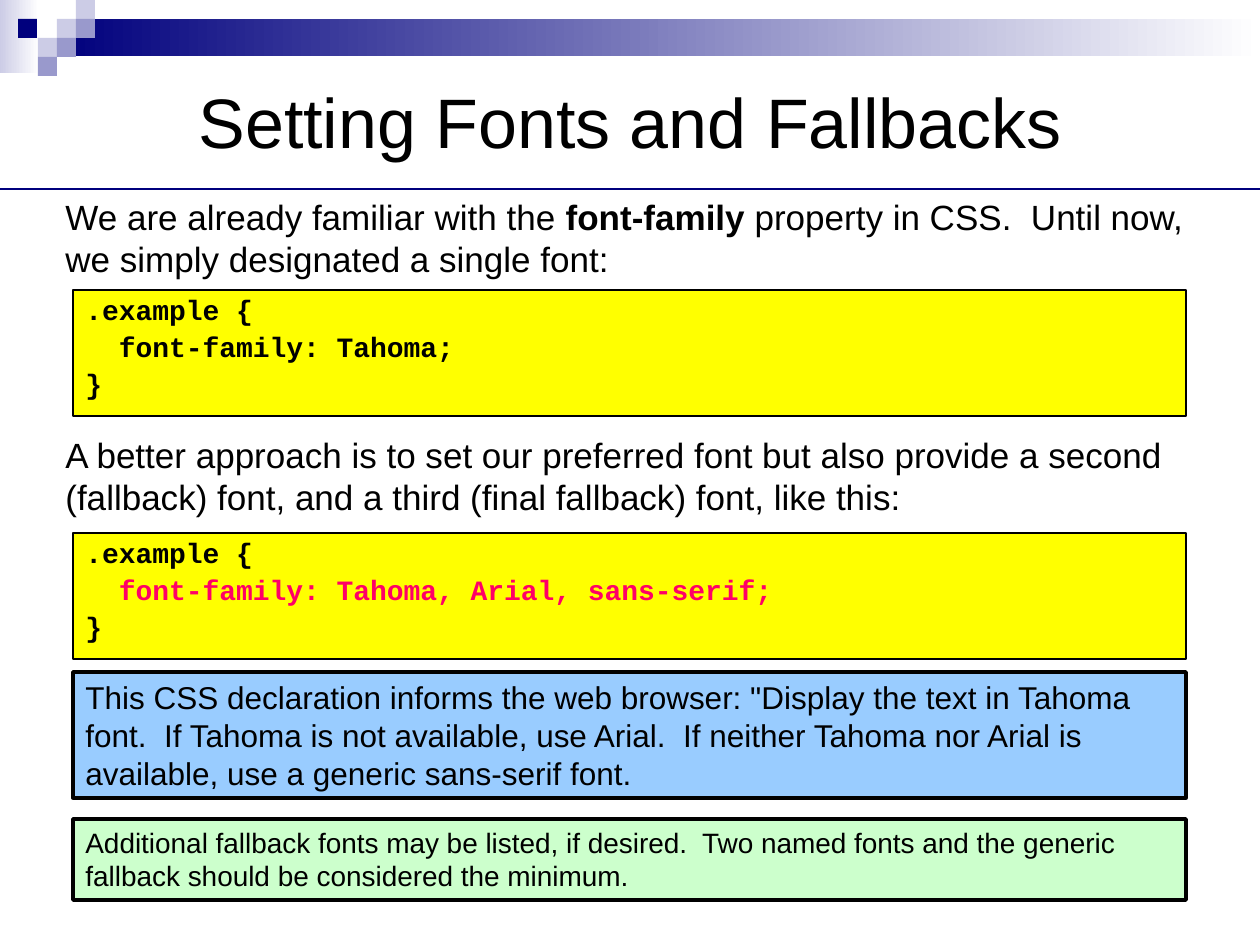
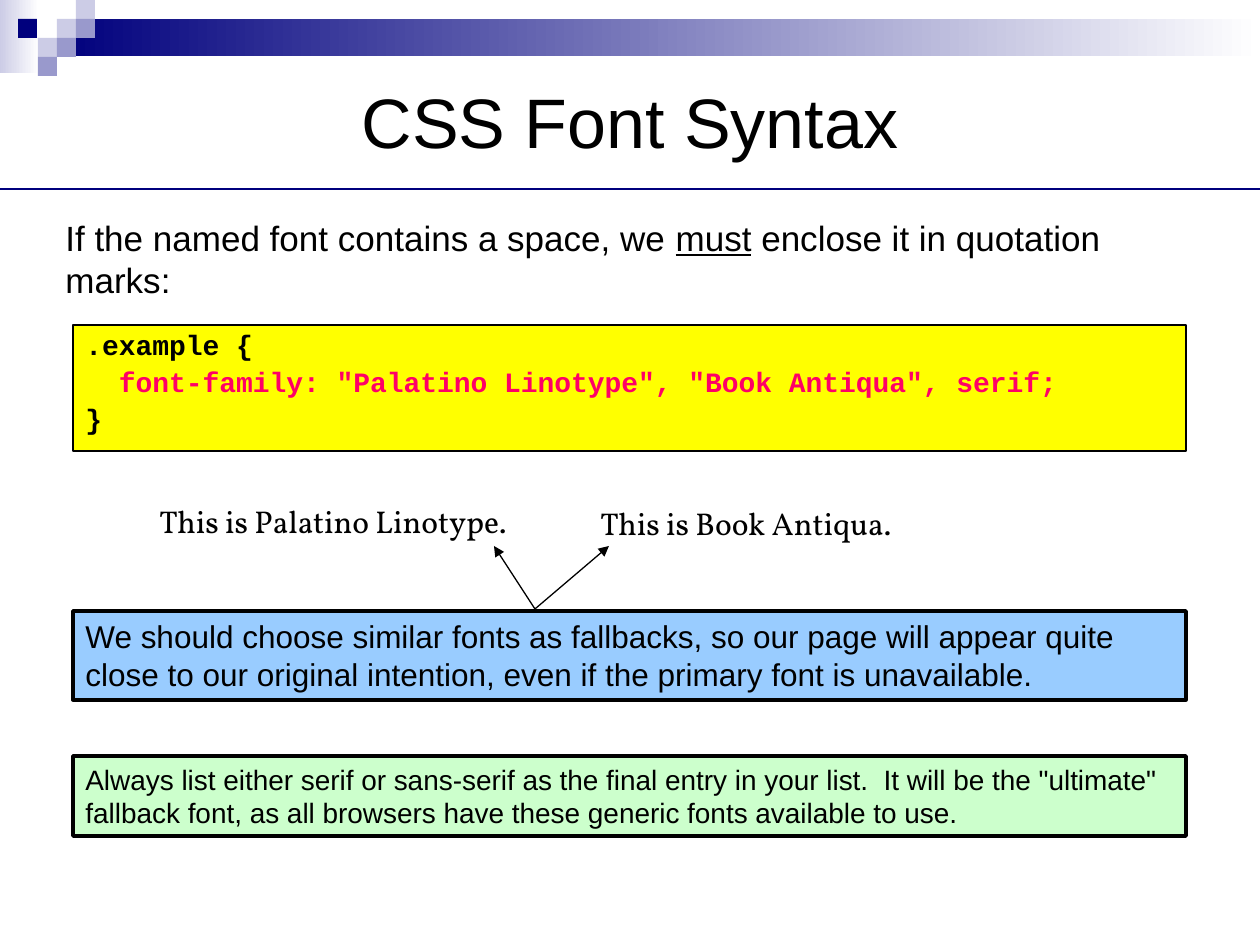
from pptx import Presentation
from pptx.dml.color import RGBColor
from pptx.enum.shapes import MSO_CONNECTOR, MSO_SHAPE
from pptx.enum.text import MSO_ANCHOR, PP_ALIGN
from pptx.oxml.ns import qn
from pptx.util import Pt
from lxml import etree

PX = 914400 / 126
NAVY, LILAC, MIST = "00007D", "9999CC", "CCCCE6"
BLACK, WHITE, PINK = "000000", "FFFFFF", "FF0066"
YELLOW, BLUE, GREEN = "FFFF00", "99CCFF", "CCFFCC"
BOX_LEFT, BOX_WIDTH = 73, 1113
SQUARES = [(57, 19, MIST), (76, 0, MIST), (76, 19, LILAC), (38, 38, MIST),
           (18, 19, NAVY), (57, 38, LILAC), (38, 57, LILAC)]


def px(*lengths):
    return [round(n * PX) for n in lengths]


def rgb(color):
    return RGBColor.from_string(color)


def add_rect(slide, box, fill, fade_to=None, line=None):
    sp = slide.shapes.add_shape(MSO_SHAPE.RECTANGLE, *px(*box))
    sp.shadow.inherit = False
    if fade_to:
        sp.fill.gradient()
        sp.fill.gradient_angle = 0
        for stop, color in zip(sp.fill.gradient_stops, (fill, fade_to)):
            stop.color.rgb = rgb(color)
    else:
        sp.fill.solid()
        sp.fill.fore_color.rgb = rgb(fill)
    if line:
        sp.line.color.rgb = rgb(BLACK)
        sp.line.width = Pt(line)
    else:
        sp.line.fill.background()
    return sp


def add_line(slide, start, end, color, width, arrow=False):
    cxn = slide.shapes.add_connector(MSO_CONNECTOR.STRAIGHT, *px(*start, *end))
    cxn.line.color.rgb = rgb(color)
    cxn.line.width = Pt(width)
    if arrow:
        ln = cxn.line._get_or_add_ln()
        etree.SubElement(ln, qn("a:tailEnd"), type="triangle")
    etree.SubElement(cxn._element.spPr, qn("a:effectLst"))


def add_run(p, text, size, font="Arial", color=BLACK, bold=False, underline=False):
    r = p.add_run()
    r.text = text
    r.font.size = Pt(size)
    r.font.name = font
    r.font.color.rgb = rgb(color)
    r.font.bold = bold
    r.font.underline = underline


def top_left(sp):
    tf = sp.text_frame
    tf.word_wrap = True
    tf.vertical_anchor = MSO_ANCHOR.TOP
    tf.paragraphs[0].alignment = PP_ALIGN.LEFT
    return tf


def add_text(slide, box, *runs):
    tf = top_left(slide.shapes.add_textbox(*px(*box)))
    for text, style in runs:
        add_run(tf.paragraphs[0], text, **{"size": 20, **style})
    return tf.paragraphs[0]


def add_intro(slide, top, *runs):
    add_text(slide, (53, top, 1155, 105), *runs)


def add_sample(slide, left, top, width, text):
    p = add_text(slide, (left, top, width, 47),
                 (text, {"size": 18, "font": "Vollkorn"}))
    p.line_spacing = 0.9


def add_code(slide, top, declaration, color=BLACK):
    sp = add_rect(slide, (BOX_LEFT, top, BOX_WIDTH, 126), YELLOW, line=0.75)
    tf = top_left(sp)
    lines = [(".example {", BLACK), ("  " + declaration, color), ("}", BLACK)]
    for i, (text, line_color) in enumerate(lines):
        p = tf.add_paragraph() if i else tf.paragraphs[0]
        p.alignment = PP_ALIGN.LEFT
        p.line_spacing = 0.9
        if i:
            p.space_before = Pt(4)
        add_run(p, text, 16, "Courier New", line_color, bold=True)


def add_note(slide, top, height, fill, size, text):
    sp = add_rect(slide, (BOX_LEFT, top, BOX_WIDTH, height), fill, line=2)
    add_run(top_left(sp).paragraphs[0], text, size)


def add_base(prs, title):
    slide = prs.slides.add_slide(prs.slide_layouts[5])
    add_rect(slide, (0, 0, 39, 73), MIST, fade_to=WHITE)
    add_rect(slide, (57, 19, 1203, 37), NAVY, fade_to=WHITE)
    for left, top, color in SQUARES:
        add_rect(slide, (left, top, 19, 19), color)
    sp = slide.shapes.title
    sp.left, sp.top, sp.width, sp.height = px(63, 53, 1134, 136)
    tf = sp.text_frame
    tf.vertical_anchor = MSO_ANCHOR.MIDDLE
    p = tf.paragraphs[0]
    p.alignment = PP_ALIGN.CENTER
    add_run(p, title, 40)
    add_line(slide, (0, 189), (1260, 189), NAVY, 1.25)
    return slide


def build_fallbacks(prs):
    slide = add_base(prs, "Setting Fonts and Fallbacks")
    add_intro(slide, 189,
              ("We are already familiar with the ", {}),
              ("font-family", {"bold": True}),
              (" property in CSS.  Until now, we simply designated a single font:", {}))
    add_code(slide, 290, "font-family: Tahoma;")
    add_intro(slide, 427,
              ("A better approach is to set our preferred font but also provide a second "
               "(fallback) font, and a third (final fallback) font, like this:", {}))
    add_code(slide, 533, "font-family: Tahoma, Arial, sans-serif;", PINK)
    add_note(slide, 672, 126, BLUE, 18,
             'This CSS declaration informs the web browser: "Display the text in Tahoma '
             "font.  If Tahoma is not available, use Arial.  If neither Tahoma nor Arial "
             "is available, use a generic sans-serif font.")
    add_note(slide, 819, 81, GREEN, 16,
             "Additional fallback fonts may be listed, if desired.  Two named fonts and "
             "the generic fallback should be considered the minimum.")


def build_syntax(prs):
    slide = add_base(prs, "CSS Font Syntax")
    add_intro(slide, 210,
              ("If the named font contains a space, we ", {}),
              ("must", {"underline": True}),
              (" enclose it in quotation marks:", {}))
    add_code(slide, 325, 'font-family: "Palatino Linotype", "Book Antiqua", serif;', PINK)
    add_note(slide, 611, 89, BLUE, 18,
             "We should choose similar fonts as fallbacks, so our page will appear quite "
             "close to our original intention, even if the primary font is unavailable.")
    add_note(slide, 756, 80, GREEN, 16,
             "Always list either serif or sans-serif as the final entry in your list.  It "
             'will be the "ultimate" fallback font, as all browsers have these generic '
             "fonts available to use.")
    add_sample(slide, 147, 500, 410, "This is Palatino Linotype.")
    add_sample(slide, 588, 502, 399, "This is Book Antiqua.")
    for tip in (494, 609):
        add_line(slide, (535, 609), (tip, 546), BLACK, 0.75, arrow=True)


def main():
    prs = Presentation()
    prs.slide_width, prs.slide_height = px(1260, 945)
    build_fallbacks(prs)
    build_syntax(prs)
    prs.save("out.pptx")


if __name__ == "__main__":
    main()
